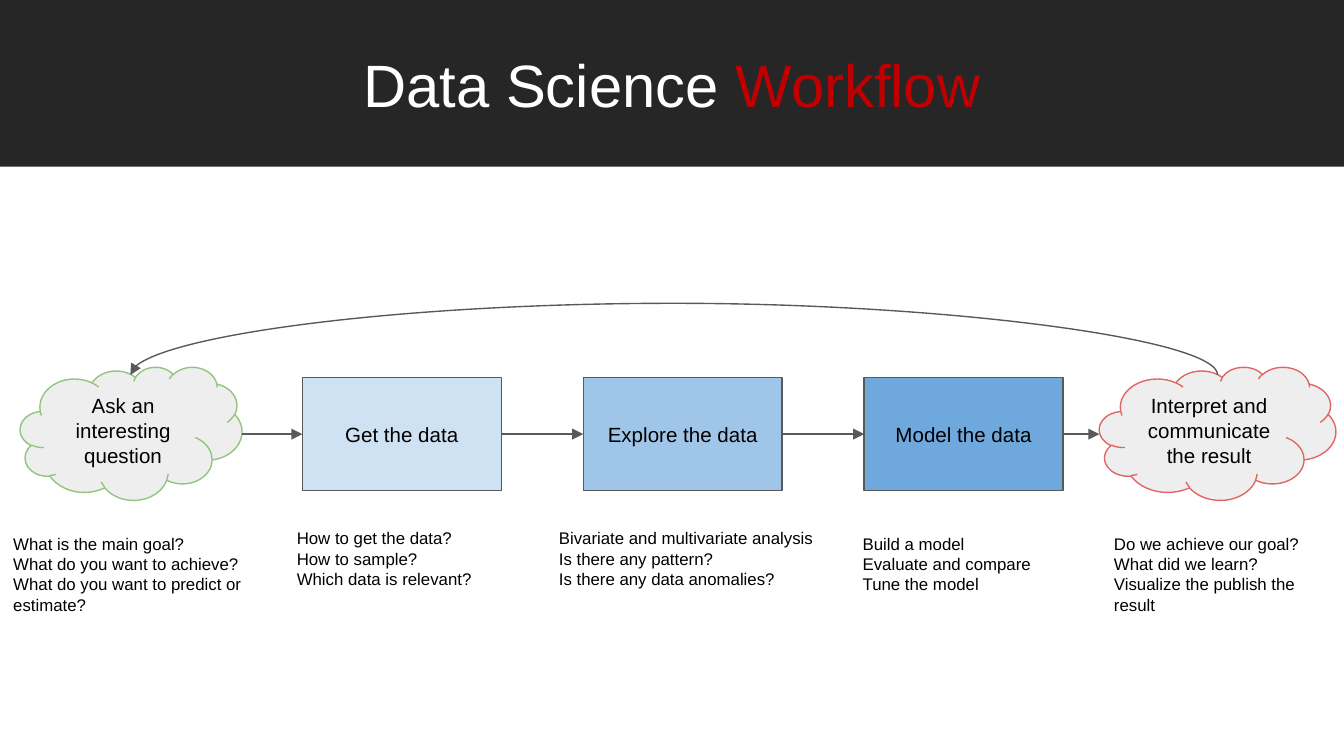
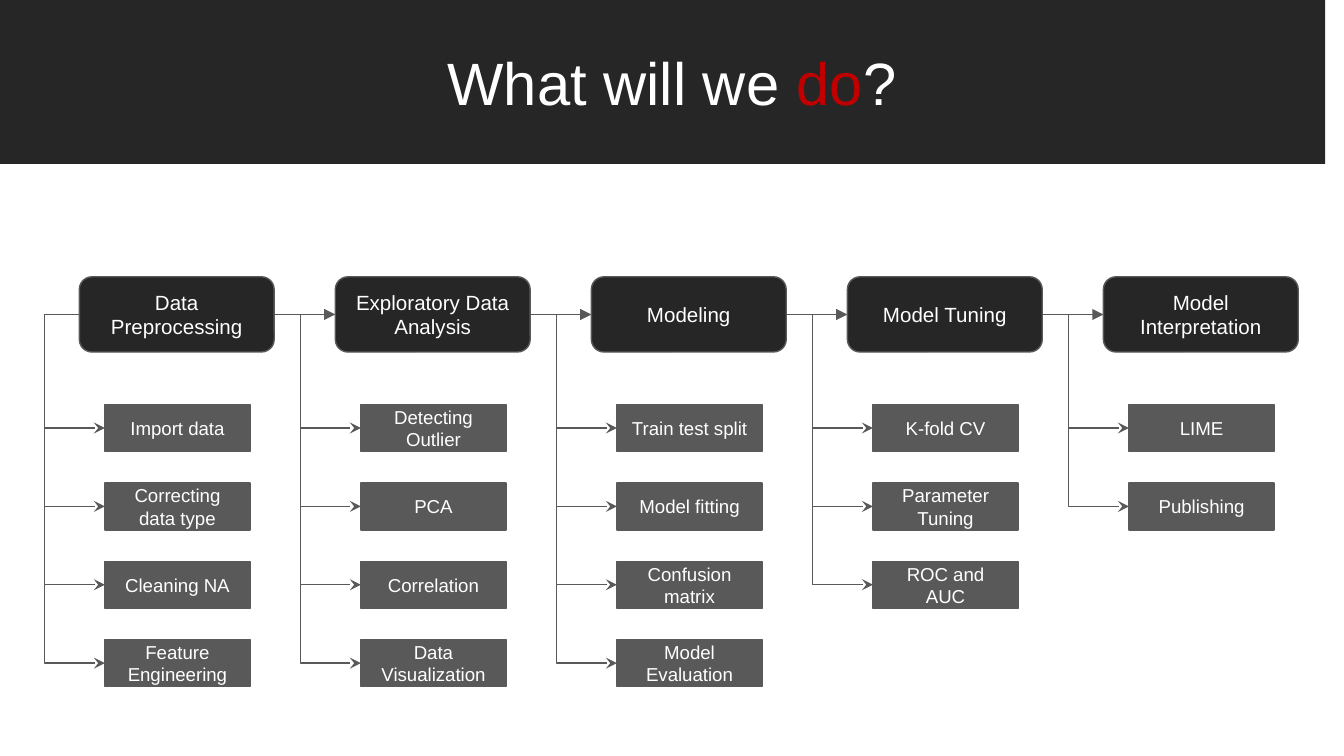
from lxml.etree import SubElement
from pptx import Presentation
from pptx.dml.color import RGBColor
from pptx.enum.shapes import MSO_CONNECTOR, MSO_SHAPE
from pptx.enum.text import MSO_ANCHOR, MSO_AUTO_SIZE, PP_ALIGN
from pptx.oxml.ns import qn
from pptx.util import Inches, Pt

COLOURS = {
    "white": "FFFFFF", "black": "000000", "accent": "C00000", "grey": "595959",
    "cloud": "EEEEEE", "green": "93C47D", "red": "E06666",
    "pale": "CFE2F3", "medium": "9FC5E8", "strong": "6FA8DC",
}
FONT = "Arial"
BAND_OPACITY = 85

# Workflow: shape, label, left, width, fill, line
WORKFLOW_TITLE = [("Data Science ", "white"), ("Workflow", "accent")]
STEPS = [
    (MSO_SHAPE.CLOUD, "Ask an interesting question", 0.15, 1.65, "cloud", "green"),
    (MSO_SHAPE.RECTANGLE, "Get the data", 2.25, 1.48, "pale", "grey"),
    (MSO_SHAPE.RECTANGLE, "Explore the data", 4.34, 1.48, "medium", "grey"),
    (MSO_SHAPE.RECTANGLE, "Model the data", 6.43, 1.48, "strong", "grey"),
    (MSO_SHAPE.CLOUD, "Interpret and communicate the result", 8.18, 1.76, "cloud", "red"),
]
STEP_PLACES = {MSO_SHAPE.CLOUD: (2.73, 0.99), MSO_SHAPE.RECTANGLE: (2.81, 0.84)}

# Notes below the steps: left, top, width, height, paragraphs
NOTES = [
    (0, 3.87, 2.11, 0.81, ["What is the main goal?\nWhat do you want to achieve?\n"
                           "What do you want to predict or estimate?"]),
    (2.11, 3.83, 2.11, 0.66, ["How to get the data?", "How to sample?",
                              "Which data is relevant?"]),
    (4.06, 3.83, 2.11, 0.66, ["Bivariate and multivariate analysis",
                              "Is there any pattern?", "Is there any data anomalies?"]),
    (6.32, 3.87, 2.11, 0.66, ["Build a model", "Evaluate and compare", "Tune the model"]),
    (8.19, 3.87, 1.63, 0.81, ["Do we achieve our goal?", "What did we learn?",
                              "Visualize the publish the result"]),
]

# Plan: phase and its tasks
PLAN_TITLE = [("What will we ", "white"), ("do", "accent"), ("?", "white")]
PHASES = [
    ("Data Preprocessing",
     ["Import data", "Correcting data type", "Cleaning NA", "Feature Engineering"]),
    ("Exploratory Data Analysis",
     ["Detecting Outlier", "PCA", "Correlation", "Data Visualization"]),
    ("Modeling",
     ["Train test split", "Model fitting", "Confusion matrix", "Model Evaluation"]),
    ("Model Tuning", ["K-fold CV", "Parameter Tuning", "ROC and AUC"]),
    ("Model Interpretation", ["LIME", "Publishing"]),
]


def colour(name):
    return RGBColor.from_string(COLOURS[name])


def inches(*lengths):
    return [Inches(length) for length in lengths]


def write(box, paragraphs, size, align=PP_ALIGN.CENTER, anchor=MSO_ANCHOR.MIDDLE):
    """Fill a box with paragraphs, each a list of (text, colour) spans."""
    frame = box.text_frame
    margins = dict.fromkeys(
        ("margin_left", "margin_top", "margin_right", "margin_bottom"), Inches(0.1))
    settings = {"word_wrap": True, "auto_size": MSO_AUTO_SIZE.NONE,
                "vertical_anchor": anchor, **margins}
    for name, value in settings.items():
        setattr(frame, name, value)
    for index, spans in enumerate(paragraphs):
        para = frame.add_paragraph() if index else frame.paragraphs[0]
        para.alignment = align
        for text, shade in spans:
            for number, line in enumerate(text.split("\n")):
                if number:
                    para.add_line_break()
                span = para.add_run()
                span.text = line
                for name, value in {"name": FONT, "size": Pt(size)}.items():
                    setattr(span.font, name, value)
                span.font.color.rgb = colour(shade)


def add_block(page, kind, place, fill, line=None, opacity=100):
    block = page.shapes.add_shape(kind, *inches(*place))
    block.shadow.inherit = False
    block.fill.solid()
    block.fill.fore_color.rgb = colour(fill)
    if opacity < 100:
        shade = block._element.spPr.find(qn("a:solidFill"))[0]
        SubElement(shade, qn("a:alpha"), val=str(opacity * 1000))
    if line:
        block.line.color.rgb = colour(line)
        block.line.width = Pt(0.75)
    else:
        block.line.fill.background()
    return block


def add_arrow(page, kind, start, end, head="triangle", bend=None):
    """Draw an arrow; bend is the middle's place as a share of the width."""
    arrow = page.shapes.add_connector(kind, *inches(*start, *end))
    arrow.line.color.rgb = colour("grey")
    arrow.line.width = Pt(0.75)
    properties = arrow._element.spPr
    SubElement(properties.find(qn("a:ln")), qn("a:tailEnd"), type=head)
    SubElement(properties, qn("a:effectLst"))
    if bend is not None:
        guides = properties.find(qn("a:prstGeom")).find(qn("a:avLst"))
        SubElement(guides, qn("a:gd"), name="adj1", fmla=f"val {round(bend * 100000)}")
    return arrow


def add_page(deck, spans, band_width, band_height):
    page = deck.slides.add_slide(deck.slide_layouts[5])
    add_block(page, MSO_SHAPE.RECTANGLE, (0, 0, band_width, band_height),
              "black", opacity=BAND_OPACITY)
    title = page.shapes.title
    title.left, title.top, title.width, title.height = inches(0, 0, 10, band_height)
    write(title, [spans], 32)
    page.shapes._spTree.append(title._element)  # in front of the band
    return page


def build_workflow(deck):
    page = add_page(deck, WORKFLOW_TITLE, 10, 1.24)
    for kind, label, left, width, fill, line in STEPS:
        top, height = STEP_PLACES[kind]
        step = add_block(page, kind, (left, top, width, height), fill, line)
        write(step, [[(label, "black")]], 11)

    # Arrows from step to step
    middle = 3.23
    for (_, _, left, width, *_), (_, _, next_left, *_) in zip(STEPS, STEPS[1:]):
        add_arrow(page, MSO_CONNECTOR.STRAIGHT, (left + width, middle), (next_left, middle))

    # Return loop: an almost flat curve turned a quarter, rising above its two ends
    first, last, top, rise = 0.97, 9.06, 2.79, 0.47
    depth = Pt(0.05).inches
    span, centre = last - first, (first + last) / 2
    left, upper = centre - depth / 2, top - span / 2
    loop = add_arrow(page, MSO_CONNECTOR.CURVE, (left, upper),
                     (left + depth, upper + span), bend=-rise / depth)
    loop._element.spPr.find(qn("a:xfrm")).set("rot", str(90 * 60000))

    for *place, lines in NOTES:
        note = page.shapes.add_textbox(*inches(*place))
        write(note, [[(line, "black")] for line in lines], 9, PP_ALIGN.LEFT, MSO_ANCHOR.TOP)


def build_plan(deck):
    page = add_page(deck, PLAN_TITLE, 9.86, 1.22)
    first_left, pitch = 0.59, 1.905
    phase_top, phase_width, phase_height = 2.06, 1.45, 0.56
    task_top, task_pitch, task_width, task_height = 3.01, 0.583, 1.08, 0.35
    indent, spine = 0.19, 0.26
    middle = phase_top + phase_height / 2

    for column, (phase, tasks) in enumerate(PHASES):
        left = first_left + column * pitch
        header = add_block(page, MSO_SHAPE.ROUNDED_RECTANGLE,
                           (left, phase_top, phase_width, phase_height),
                           "black", "grey", BAND_OPACITY)
        write(header, [[(phase, "white")]], 11)
        if column:
            add_arrow(page, MSO_CONNECTOR.STRAIGHT,
                      (left - pitch + phase_width, middle), (left, middle))

        # Tasks hang from a spine left of the phase
        for row, task in enumerate(tasks):
            top = task_top + row * task_pitch
            box = add_block(page, MSO_SHAPE.RECTANGLE,
                            (left + indent, top, task_width, task_height), "grey", "grey")
            write(box, [[(task, "white")]], 10)
            add_arrow(page, MSO_CONNECTOR.ELBOW, (left, middle),
                      (left + indent, top + task_height / 2), "stealth", -spine / indent)


def main():
    deck = Presentation()
    deck.slide_width = Inches(10)
    deck.slide_height = deck.slide_width * 9 // 16
    build_workflow(deck)
    build_plan(deck)
    deck.save("out.pptx")


if __name__ == "__main__":
    main()
